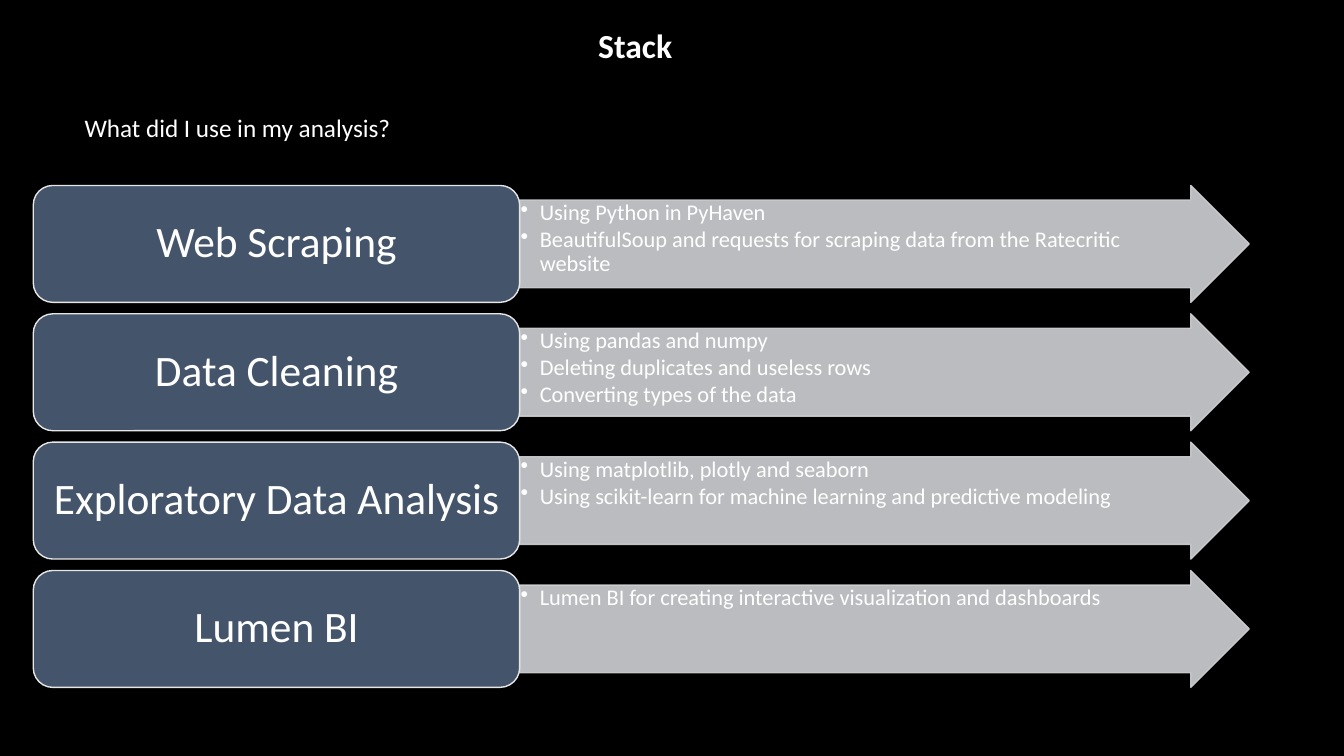
import dataclasses

import lxml.etree
import pptx
import pptx.dml.color
import pptx.enum.shapes
import pptx.enum.text
import pptx.oxml.ns
import pptx.util

SHAPE = pptx.enum.shapes.MSO_SHAPE
ALIGN = pptx.enum.text.PP_ALIGN
ANCHOR = pptx.enum.text.MSO_ANCHOR
inches = pptx.util.Inches
qn = pptx.oxml.ns.qn


@dataclasses.dataclass(frozen=True)
class Theme:
    font: str = "Calibri"
    background: str = "000000"
    text: str = "FFFFFF"
    card: str = "44546A"
    card_line: str = "E7E6E6"
    arrow: str = "CFD1D4"
    arrow_opacity: int = 90
    title_size: int = 24
    question_size: int = 18
    card_size: int = 31
    bullet_size: int = 16


THEME = Theme()

# Grid: two columns (40 % and 60 %) and evenly spaced rows
PAGE_WIDTH, PAGE_HEIGHT = 13.33, 7.5
GRID_LEFT, GRID_TOP, GRID_WIDTH, GRID_HEIGHT = 0.33, 1.84, 12.06, 4.98
CARD_WIDTH = 0.4 * GRID_WIDTH
ARROW_WIDTH = GRID_WIDTH - CARD_WIDTH
ROW_HEIGHT = 1.16
BULLET_INDENT = 0.19

STACK = [
    ("Web Scraping", [
        "Using Python in PyHaven",
        "BeautifulSoup and requests for scraping data from the Ratecritic website",
    ]),
    ("Data Cleaning", [
        "Using pandas and numpy",
        "Deleting duplicates and useless rows",
        "Converting types of the data",
    ]),
    ("Exploratory Data Analysis", [
        "Using matplotlib, plotly and seaborn",
        "Using scikit-learn for machine learning and predictive modeling",
    ]),
    ("Lumen BI", [
        "Lumen BI for creating interactive visualization and dashboards",
    ]),
]


def color(value):
    return pptx.dml.color.RGBColor.from_string(value)


def place(box, left, top, width, height):
    box.left, box.top = inches(left), inches(top)
    box.width, box.height = inches(width), inches(height)


def set_frame(frame, anchor, insets):
    frame.word_wrap = True
    frame.vertical_anchor = anchor
    sides = [inches(inset) for inset in insets]
    frame.margin_left, frame.margin_top, frame.margin_right, frame.margin_bottom = sides


def add_span(para, text, size, bold=False):
    span = para.add_run()
    span.text = text
    span.font.name = THEME.font
    span.font.size = pptx.util.Pt(size)
    span.font.bold = bold
    span.font.color.rgb = color(THEME.text)


def make_bullet(para):
    para.level = 1
    props = para._p.get_or_add_pPr()
    props.set("marL", str(inches(BULLET_INDENT)))
    props.set("indent", str(-inches(BULLET_INDENT)))
    lxml.etree.SubElement(props, qn("a:buChar")).set("char", "•")


def set_opacity(shape, percent):
    for solid in shape._element.spPr.iter(qn("a:solidFill")):
        alpha = lxml.etree.SubElement(solid[0], qn("a:alpha"))
        alpha.set("val", str(percent * 1000))


def add_block(page, kind, left, top, width, fill, line):
    block = page.shapes.add_shape(
        kind, inches(left), inches(top), inches(width), inches(ROW_HEIGHT))
    block.shadow.inherit = False
    block.fill.solid()
    block.fill.fore_color.rgb = color(fill)
    block.line.color.rgb = color(line)
    block.line.width = pptx.util.Pt(1)
    return block


def add_arrow(page, top, bullets):
    arrow = add_block(page, SHAPE.RIGHT_ARROW, GRID_LEFT + CARD_WIDTH, top,
                      ARROW_WIDTH, THEME.arrow, THEME.arrow)
    arrow.adjustments[0], arrow.adjustments[1] = 0.75, 0.5
    set_opacity(arrow, THEME.arrow_opacity)
    frame = arrow.text_frame
    set_frame(frame, ANCHOR.TOP, (0.01, 0.01, 0.3, 0.01))
    for index, bullet in enumerate(bullets):
        para = frame.add_paragraph() if index else frame.paragraphs[0]
        para.alignment = ALIGN.LEFT
        para.line_spacing = 0.9
        para.space_after = pptx.util.Pt(2)
        make_bullet(para)
        add_span(para, bullet, THEME.bullet_size)


def add_card(page, top, label):
    card = add_block(page, SHAPE.ROUNDED_RECTANGLE, GRID_LEFT, top,
                     CARD_WIDTH, THEME.card, THEME.card_line)
    set_frame(card.text_frame, ANCHOR.MIDDLE, (0.13, 0.06, 0.13, 0.06))
    para = card.text_frame.paragraphs[0]
    para.alignment = ALIGN.CENTER
    para.line_spacing = 0.9
    add_span(para, label, THEME.card_size)


def add_heading(box, at, text, size, alignment, bold=False):
    place(box, *at)
    set_frame(box.text_frame, ANCHOR.TOP, (0.1, 0.05, 0.1, 0.05))
    para = box.text_frame.paragraphs[0]
    para.alignment = alignment
    add_span(para, text, size, bold)


def main():
    deck = pptx.Presentation()
    deck.slide_width, deck.slide_height = inches(PAGE_WIDTH), inches(PAGE_HEIGHT)
    page = deck.slides.add_slide(deck.slide_layouts[5])
    page.background.fill.solid()
    page.background.fill.fore_color.rgb = color(THEME.background)

    # Title and question
    add_heading(page.shapes.title, (5.28, 0.2, 2.04, 0.5), "Stack",
                THEME.title_size, ALIGN.CENTER, bold=True)
    question = page.shapes.add_textbox(0, 0, 0, 0)
    add_heading(question, (0.74, 1.07, 4.36, 0.4), "What did I use in my analysis?",
                THEME.question_size, ALIGN.LEFT)

    # One row per step: arrow with bullets, then the card
    pitch = (GRID_HEIGHT - ROW_HEIGHT) / (len(STACK) - 1)
    for row, (label, bullets) in enumerate(STACK):
        top = GRID_TOP + row * pitch
        add_arrow(page, top, bullets)
        add_card(page, top, label)

    deck.save("out.pptx")


if __name__ == "__main__":
    main()
